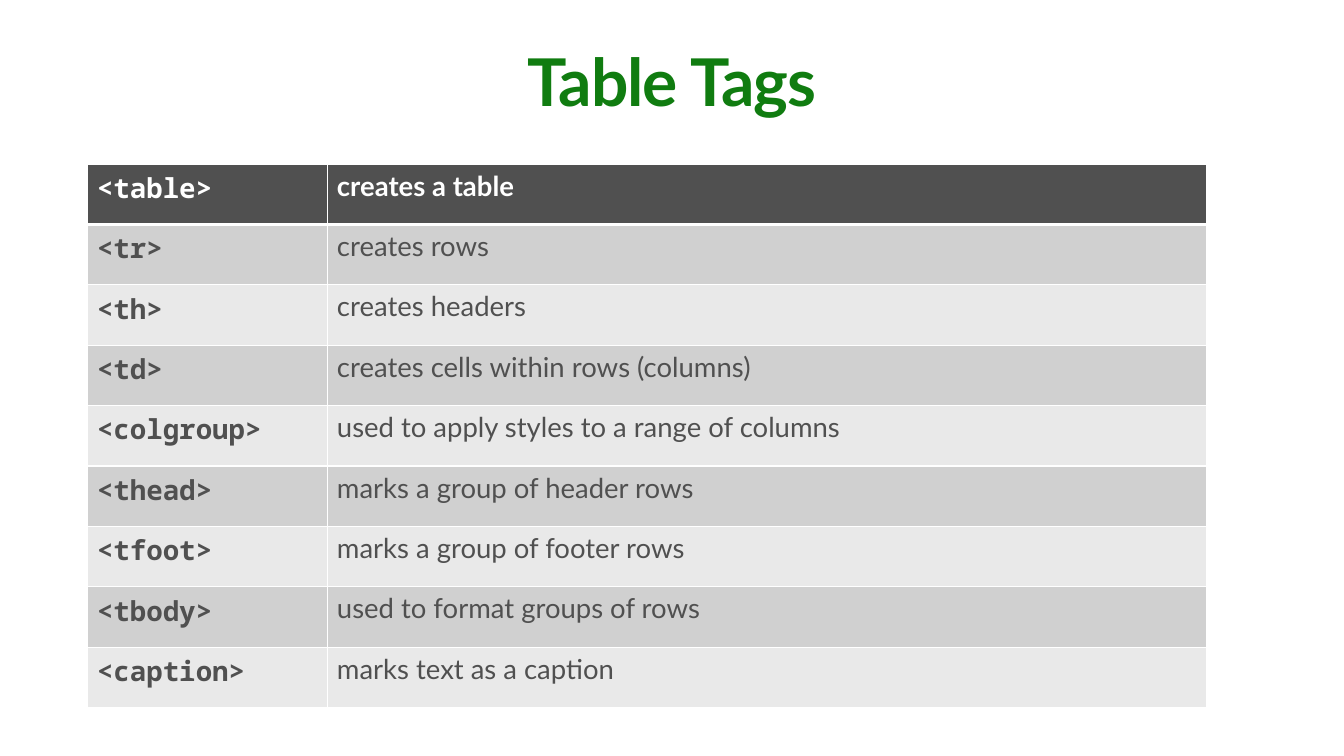
"""Build a slide that lists the HTML table tags and what each one does."""
from typing import NamedTuple

from lxml import etree
from pptx import Presentation, oxml, util as u
from pptx.dml import color
from pptx.enum import text
from pptx.oxml import ns

WIDE, HIGH = 13.6, 7.65
COLS, ROWS = 136, 76.5
INKS = {"title": "107C10", "dark": "505050", "light": "FFFFFF",
        "odd": "D0D0D0", "even": "E9E9E9"}
SANS, MONO = "Lato", "Noto Sans Mono"


class Area(NamedTuple):
    left: float
    top: float
    width: float
    height: float


class Style(NamedTuple):
    font: str
    size: float
    ink: str
    bold: bool


class Entry(NamedTuple):
    tag: str
    use: str


TITLE = Area(4, 4, 128, 10)
GRID = Area(8.8, 16.6, 113.3, 55)
SPLIT = (24.3, 89)
ENTRIES = [
    Entry("<table>", "creates a table"),
    Entry("<tr>", "creates rows"),
    Entry("<th>", "creates headers"),
    Entry("<td>", "creates cells within rows (columns)"),
    Entry("<colgroup>", "used to apply styles to a range of columns"),
    Entry("<thead>", "marks a group of header rows"),
    Entry("<tfoot>", "marks a group of footer rows"),
    Entry("<tbody>", "used to format groups of rows"),
    Entry("<caption>", "marks text as a caption"),
]


def across(cols: float) -> u.Length:
    return u.Inches(cols * WIDE / COLS)


def down(rows: float) -> u.Length:
    return u.Inches(rows * HIGH / ROWS)


def place(area: Area) -> tuple:
    return (across(area.left), down(area.top),
            across(area.width), down(area.height))


def write(para, words: str, style: Style):
    run = para.add_run()
    run.text = words
    font = run.font
    font.name, font.size, font.bold = style.font, u.Pt(style.size), style.bold
    font.color.rgb = color.RGBColor.from_string(INKS[style.ink])
    return run


def edge(cell, side: str, width: float) -> None:
    props = cell._tc.get_or_add_tcPr()
    line = etree.SubElement(props, ns.qn(f"a:ln{side}"), w=str(u.Pt(width)))
    fill = etree.SubElement(line, ns.qn("a:solidFill"))
    etree.SubElement(fill, ns.qn("a:srgbClr"), val=INKS["light"])


def draw_title(slide, words: str) -> None:
    frame = slide.shapes.add_textbox(*place(TITLE)).text_frame
    frame.word_wrap = True
    frame.vertical_anchor = text.MSO_ANCHOR.TOP
    frame.margin_left = frame.margin_right = u.Inches(0.1)
    frame.margin_top = frame.margin_bottom = u.Inches(0.1)
    para = frame.paragraphs[0]
    para.alignment = text.PP_ALIGN.CENTER
    para.line_spacing = 0.9
    run = write(para, words, Style(SANS, 48, "title", True))
    run.font._element.set("spc", "-70")


def draw_cell(cell, words: str, style: Style, fill: str, row: int) -> None:
    widths = {"L": 1, "R": 1, "T": 3 if row == 1 else 1,
              "B": 3 if row == 0 else 1}
    for side, width in widths.items():
        edge(cell, side, width)
    cell.fill.solid()
    cell.fill.fore_color.rgb = color.RGBColor.from_string(INKS[fill])
    write(cell.text_frame.paragraphs[0], words, style)


def draw_table(slide, entries: list[Entry]) -> None:
    count = len(entries)
    table = slide.shapes.add_table(count, len(SPLIT), *place(GRID)).table
    for col, width in zip(table.columns, SPLIT):
        col.width = across(width)
    for row, entry in enumerate(entries):
        table.rows[row].height = down(GRID.height / count)
        head = row == 0
        ink = "light" if head else "dark"
        fill = "dark" if head else "odd" if row % 2 else "even"
        styles = Style(MONO, 20, ink, True), Style(SANS, 20, ink, head)
        for col, (words, style) in enumerate(zip(entry, styles)):
            draw_cell(table.cell(row, col), words, style, fill, row)


def main() -> None:
    deck = Presentation()
    deck.slide_width, deck.slide_height = across(COLS), down(ROWS)
    slide = deck.slides.add_slide(deck.slide_layouts[6])
    draw_title(slide, "Table Tags")
    draw_table(slide, ENTRIES)
    deck.save("out.pptx")


if __name__ == "__main__":
    main()
